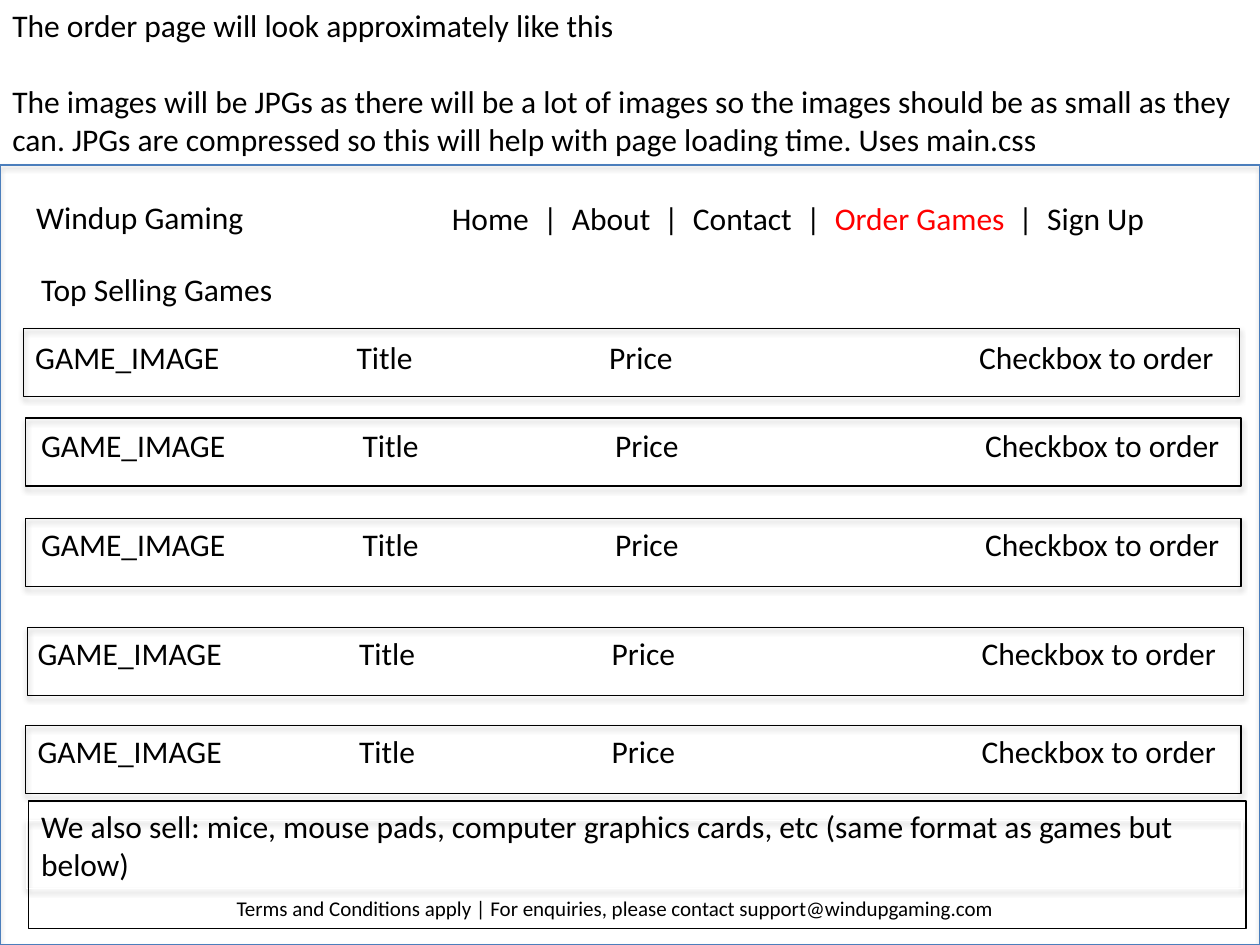
from dataclasses import dataclass

from lxml import etree
from pptx import Presentation
from pptx.dml.color import RGBColor
from pptx.enum import shapes, text
from pptx.oxml import ns
from pptx.util import Cm, Pt


@dataclass(frozen=True)
class Theme:
    font: str = "Calibri"
    body: int = 18
    small: int = 12
    ink: str = "000000"
    active: str = "FF0000"
    frame: str = "4B7EBC"
    paper: str = "FFFFFF"
    line: float = 0.75


THEME = Theme()

INTRO = [
    "The order page will look approximately like this",
    "The images will be JPGs as there will be a lot of images so the images should be "
    "as small as they can. JPGs are compressed so this will help with page loading "
    "time. Uses main.css",
]
SITE_NAME = "Windup Gaming"
HEADING = "Top Selling Games"
FOOTER = "Terms and Conditions apply | For enquiries, please contact support@windupgaming.com"
ALSO_SELL = ("We also sell: mice, mouse pads, computer graphics cards, etc "
             "(same format as games but below)")

# Menu word and its distance from the start of the line, in cm
MENU = [("Home", 0), ("About", 2.42), ("Contact", 4.86),
        ("Order Games", 7.72), ("Sign Up", 12)]
ACTIVE_PAGE = "Order Games"
BAR_LEAD = 0.58

COLUMNS = [("GAME_IMAGE", 0), ("Title", 6.48), ("Price", 11.57),
           ("Checkbox to order", 19.03)]
# Left and top of the row outline, then of its text, in cm
ROWS = [
    (0.48, 6.63, 0.46, 6.68),
    (0.51, 8.43, 0.58, 8.46),
    (0.51, 10.46, 0.58, 10.46),
    (0.56, 12.65, 0.51, 12.65),
    (0.51, 14.63, 0.51, 14.63),
]
ROW_SIZE = (24.51, 1.37)
TEXT_HEIGHT = 1.02


def style(paragraph, size=THEME.body):
    for span in paragraph.runs:
        span.font.name = THEME.font
        span.font.size = Pt(size)
        span.font.color.rgb = RGBColor.from_string(THEME.ink)


def add_tab_stops(paragraph, stops):
    properties = paragraph._p.get_or_add_pPr()
    tabs = etree.SubElement(properties, ns.qn("a:tabLst"))
    for stop in stops:
        etree.SubElement(tabs, ns.qn("a:tab"), pos=str(Cm(stop)), algn="l")


def add_text(page, place, lines, size=THEME.body):
    box = page.shapes.add_textbox(*map(Cm, place))
    frame = box.text_frame
    frame.word_wrap = True
    frame.text = "\n".join(lines)
    for para in frame.paragraphs:
        style(para, size)
    return frame


def add_outline(page, place, color, shadow=True):
    box = page.shapes.add_shape(shapes.MSO_SHAPE.RECTANGLE, *map(Cm, place))
    box.fill.background()
    box.line.color.rgb = RGBColor.from_string(color)
    box.line.width = Pt(THEME.line)
    box.shadow.inherit = False
    if shadow:
        effects = box._element.spPr.find(ns.qn("a:effectLst"))
        outer = etree.SubElement(effects, ns.qn("a:outerShdw"), blurRad=str(Pt(3.1)),
                                 dist=str(Pt(1.8)), dir="5400000", rotWithShape="0")
        tint = etree.SubElement(outer, ns.qn("a:srgbClr"), val=THEME.ink)
        etree.SubElement(tint, ns.qn("a:alpha"), val="35000")
    return box


def add_menu(page):
    frame = add_text(page, (8.86, 3.89, 16.13, TEXT_HEIGHT), [""])
    para = frame.paragraphs[0]
    stops = [stop for _, start in MENU[1:] for stop in (start - BAR_LEAD, start)]
    add_tab_stops(para, stops)
    for index, (word, _) in enumerate(MENU):
        if index:
            para.add_run().text = "\t|\t"
        para.add_run().text = word
    style(para)
    for span in para.runs:
        if span.text == ACTIVE_PAGE:
            span.font.color.rgb = RGBColor.from_string(THEME.active)


def add_game_row(page, left, top, text_left, text_top):
    add_outline(page, (left, top, *ROW_SIZE), THEME.ink)
    labels = "\t".join(label for label, _ in COLUMNS)
    frame = add_text(page, (text_left, text_top, 24.54, TEXT_HEIGHT), [labels])
    add_tab_stops(frame.paragraphs[0], [start for _, start in COLUMNS[1:]])


def add_also_sell(page):
    add_outline(page, (0.53, 16.54, *ROW_SIZE), THEME.paper)
    box = add_outline(page, (0.58, 16.15, 24.54, 2.57), THEME.ink, shadow=False)
    frame = box.text_frame
    frame.word_wrap = True
    frame.vertical_anchor = text.MSO_ANCHOR.TOP
    frame.text = ALSO_SELL
    para = frame.paragraphs[0]
    para.alignment = text.PP_ALIGN.LEFT
    style(para)


def main():
    deck = Presentation()
    deck.slide_width, deck.slide_height = Cm(25.4), Cm(19.05)
    page = deck.slides.add_slide(deck.slide_layouts[6])

    intro = add_text(page, (0, 0, 25.35, 3.33), INTRO)
    intro.paragraphs[1].space_before = Pt(22)
    add_outline(page, (0, 3.33, 25.4, 15.72), THEME.frame)
    add_text(page, (0.48, 3.86, 4.88, TEXT_HEIGHT), [SITE_NAME])
    add_menu(page)
    add_text(page, (4.52, 17.93, 16.43, 0.76), [FOOTER], THEME.small)
    add_text(page, (0.58, 5.31, 9.63, TEXT_HEIGHT), [HEADING])
    for row in ROWS:
        add_game_row(page, *row)
    add_also_sell(page)

    deck.save("out.pptx")


if __name__ == "__main__":
    main()
